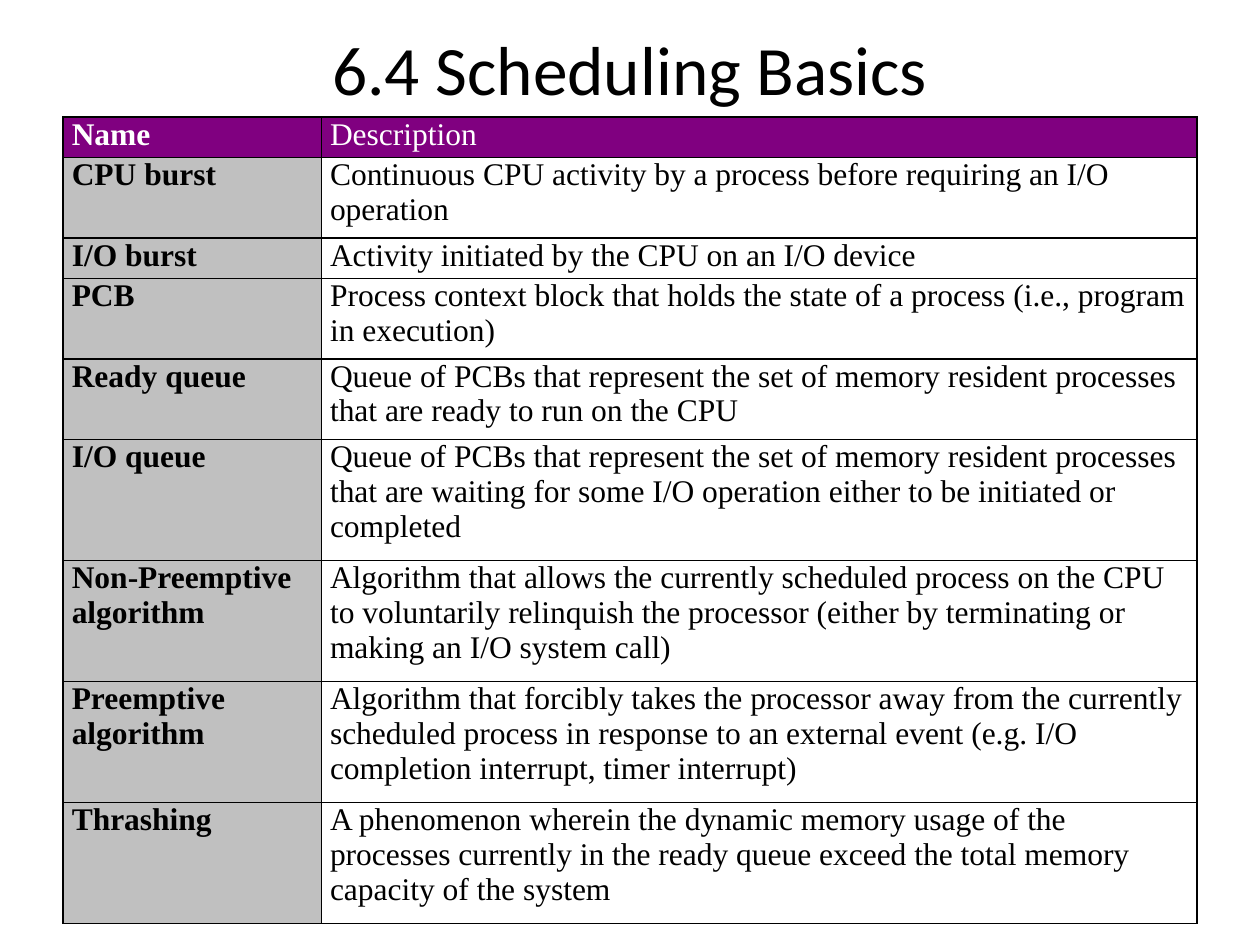
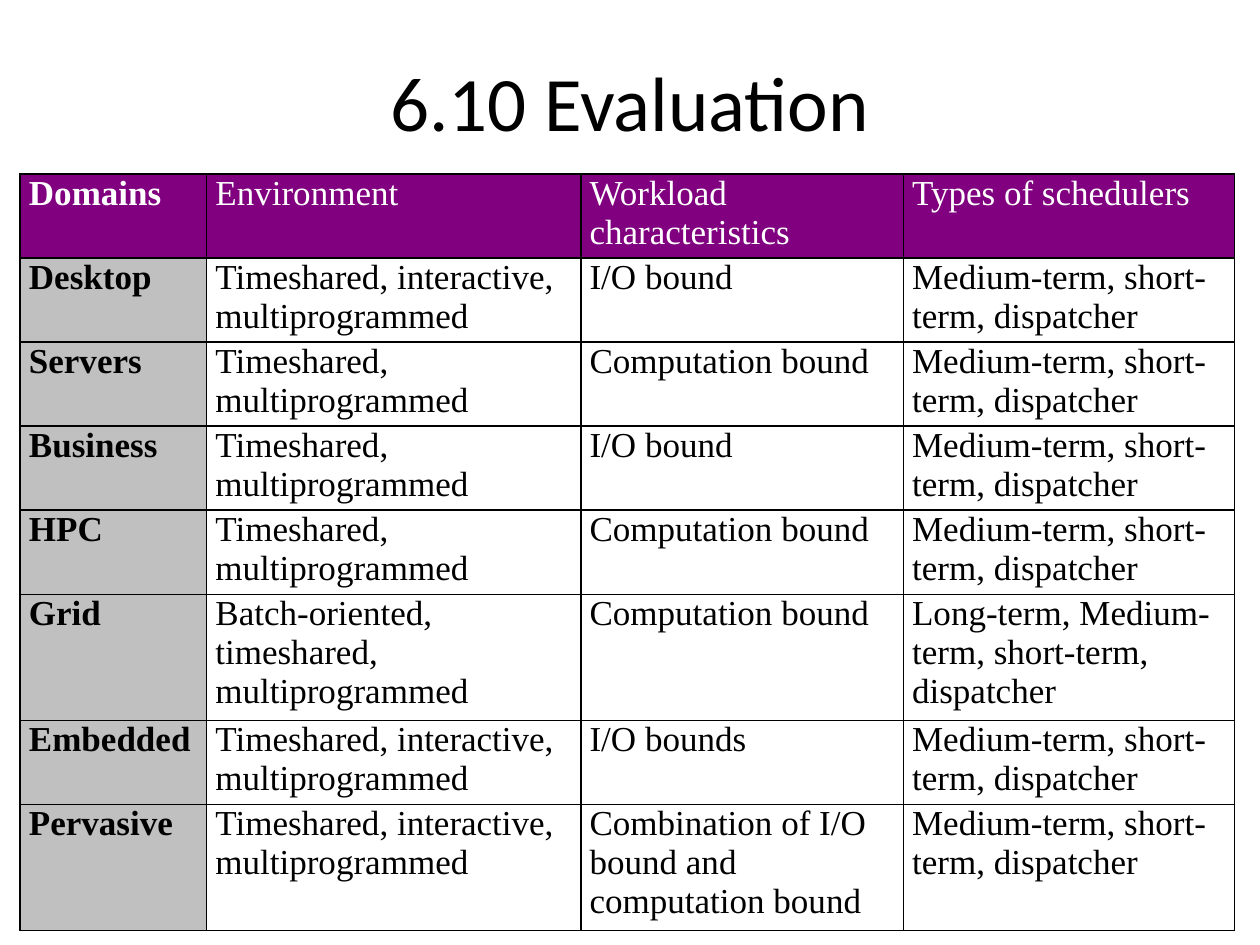
"""Builds two slides of scheduling tables: basic terms and evaluation domains."""
from dataclasses import dataclass

from lxml import etree
from pptx import Presentation
from pptx import util as u
from pptx.dml.color import RGBColor
from pptx.enum import text
from pptx.oxml import ns


@dataclass(frozen=True)
class Theme:
    ink: str = "000000"
    header_ink: str = "FFFFFF"
    header_fill: str = "800080"
    label_fill: str = "C0C0C0"
    title_font: str = "Calibri"
    table_font: str = "Times New Roman"
    basics_title_size: float = 39.6
    basics_text_size: float = 18
    evaluation_title_size: float = 44
    evaluation_text_size: float = 20
    border_width: float = 1
    cell_inset: float = 0.07


class Deck:
    def __init__(self, theme):
        self.theme = theme
        self.presentation = Presentation()
        self.presentation.slide_width = u.Inches(10)
        self.presentation.slide_height = u.Inches(7.5)
        self.slide = None

    def new_slide(self):
        self.slide = self.presentation.slides.add_slide(self.presentation.slide_layouts[6])

    def format_runs(self, frame, font, size, color, bold=False):
        for paragraph in frame.paragraphs:
            for run in paragraph.runs:
                run.font.name = font
                run.font.size = u.Pt(size)
                run.font.bold = bold
                run.font.color.rgb = RGBColor.from_string(color)

    def title(self, wording, top, height, size):
        box = self.slide.shapes.add_textbox(
            u.Inches(0.5), u.Inches(top), u.Inches(9), u.Inches(height))
        frame = box.text_frame
        frame.word_wrap = True
        frame.vertical_anchor = text.MSO_ANCHOR.MIDDLE
        frame.text = wording
        frame.paragraphs[0].alignment = text.PP_ALIGN.CENTER
        self.format_runs(frame, self.theme.title_font, size, self.theme.ink)

    def border(self, cell):
        properties = cell._tc.get_or_add_tcPr()
        for side in ("a:lnL", "a:lnR", "a:lnT", "a:lnB"):
            line = etree.SubElement(properties, ns.qn(side),
                                    w=str(u.Pt(self.theme.border_width)))
            fill = etree.SubElement(line, ns.qn("a:solidFill"))
            etree.SubElement(fill, ns.qn("a:srgbClr"), val=self.theme.ink)

    def cell(self, cell, wording, size, is_header, is_label):
        theme = self.theme
        cell.margin_left = cell.margin_right = u.Inches(theme.cell_inset)
        cell.margin_top = cell.margin_bottom = 0
        cell.text_frame.text = wording
        self.format_runs(cell.text_frame, theme.table_font, size,
                         theme.header_ink if is_header else theme.ink, is_label)
        self.border(cell)
        if is_header or is_label:
            cell.fill.solid()
            cell.fill.fore_color.rgb = RGBColor.from_string(
                theme.header_fill if is_header else theme.label_fill)
        else:
            cell.fill.background()

    def table(self, left, top, height, widths, line_counts, rows, size):
        """Row heights share the table height by their number of text lines."""
        table = self.slide.shapes.add_table(
            len(rows), len(widths), u.Inches(left), u.Inches(top),
            u.Inches(sum(widths)), u.Inches(height)).table
        table.first_row = table.horz_banding = False
        for column, width in zip(table.columns, widths):
            column.width = u.Inches(width)
        for row, lines in zip(table.rows, line_counts):
            row.height = u.Inches(height * lines / sum(line_counts))
        for r, wordings in enumerate(rows):
            for c, wording in enumerate(wordings):
                self.cell(table.cell(r, c), wording, size, r == 0, c == 0)


TERMS = [
    ("Name", "Description"),
    ("CPU burst", "Continuous CPU activity by a process before requiring an I/O operation"),
    ("I/O burst", "Activity initiated by the CPU on an I/O device"),
    ("PCB", "Process context block that holds the state of a process "
            "(i.e., program in execution)"),
    ("Ready queue", "Queue of PCBs that represent the set of memory resident processes "
                    "that are ready to run on the CPU"),
    ("I/O queue", "Queue of PCBs that represent the set of memory resident processes "
                  "that are waiting for some I/O operation either to be initiated or completed"),
    ("Non-Preemptive algorithm",
     "Algorithm that allows the currently scheduled process on the CPU to voluntarily "
     "relinquish the processor (either by terminating or making an I/O system call)"),
    ("Preemptive\nalgorithm",
     "Algorithm that forcibly takes the processor away from the currently scheduled process "
     "in response to an external event (e.g. I/O completion interrupt, timer interrupt)"),
    ("Thrashing", "A phenomenon wherein the dynamic memory usage of the processes currently "
                  "in the ready queue exceed the total memory capacity of the system"),
]

TIMESHARED = "Timeshared, multiprogrammed"
INTERACTIVE = "Timeshared, interactive, multiprogrammed"
COMPUTATION = "Computation bound"
USUAL_SCHEDULERS = "Medium-term, short-term, dispatcher"

DOMAINS = [
    ("Domains", "Environment", "Workload characteristics", "Types of schedulers"),
    ("Desktop", INTERACTIVE, "I/O bound", USUAL_SCHEDULERS),
    ("Servers", TIMESHARED, COMPUTATION, USUAL_SCHEDULERS),
    ("Business", TIMESHARED, "I/O bound", USUAL_SCHEDULERS),
    ("HPC", TIMESHARED, COMPUTATION, USUAL_SCHEDULERS),
    ("Grid", "Batch-oriented, timeshared, multiprogrammed", COMPUTATION,
     "Long-term, Medium-term, short-term, dispatcher"),
    ("Embedded", INTERACTIVE, "I/O bounds", USUAL_SCHEDULERS),
    ("Pervasive", INTERACTIVE, "Combination of I/O bound and computation bound",
     USUAL_SCHEDULERS),
]


def main():
    theme = Theme()
    deck = Deck(theme)

    deck.new_slide()
    deck.title("6.4 Scheduling Basics", 0.15, 0.78, theme.basics_title_size)
    deck.table(0.5, 0.93, 6.4, [2.05, 6.95], [1, 2, 1, 2, 2, 3, 3, 3, 3],
               TERMS, theme.basics_text_size)

    deck.new_slide()
    deck.title("6.10 Evaluation", 0.3, 0.99, theme.evaluation_title_size)
    deck.table(0.16, 1.38, 5.97, [1.48, 2.97, 2.56, 2.63], [2, 2, 2, 2, 2, 3, 2, 3],
               DOMAINS, theme.evaluation_text_size)

    deck.presentation.save("out.pptx")


if __name__ == "__main__":
    main()
